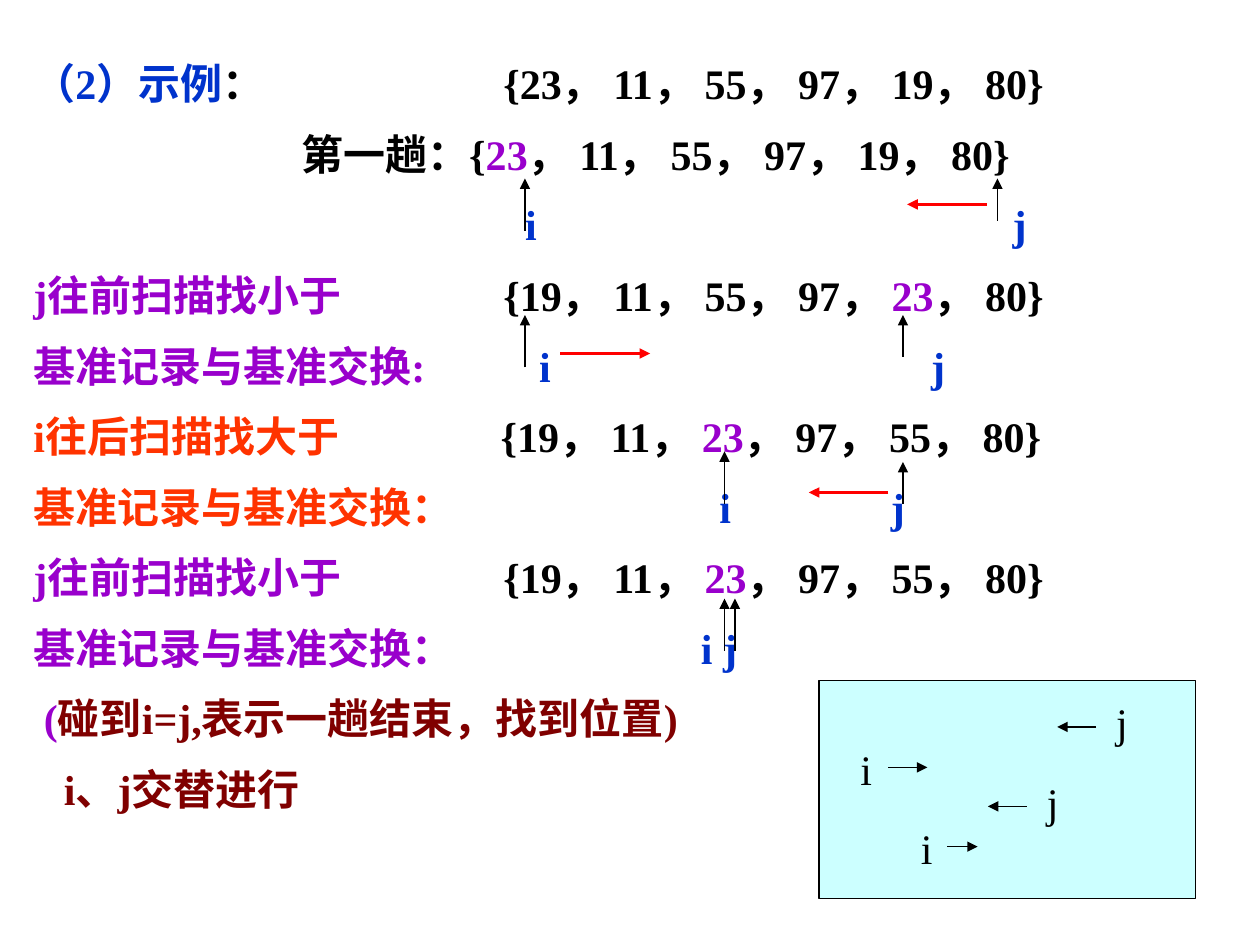
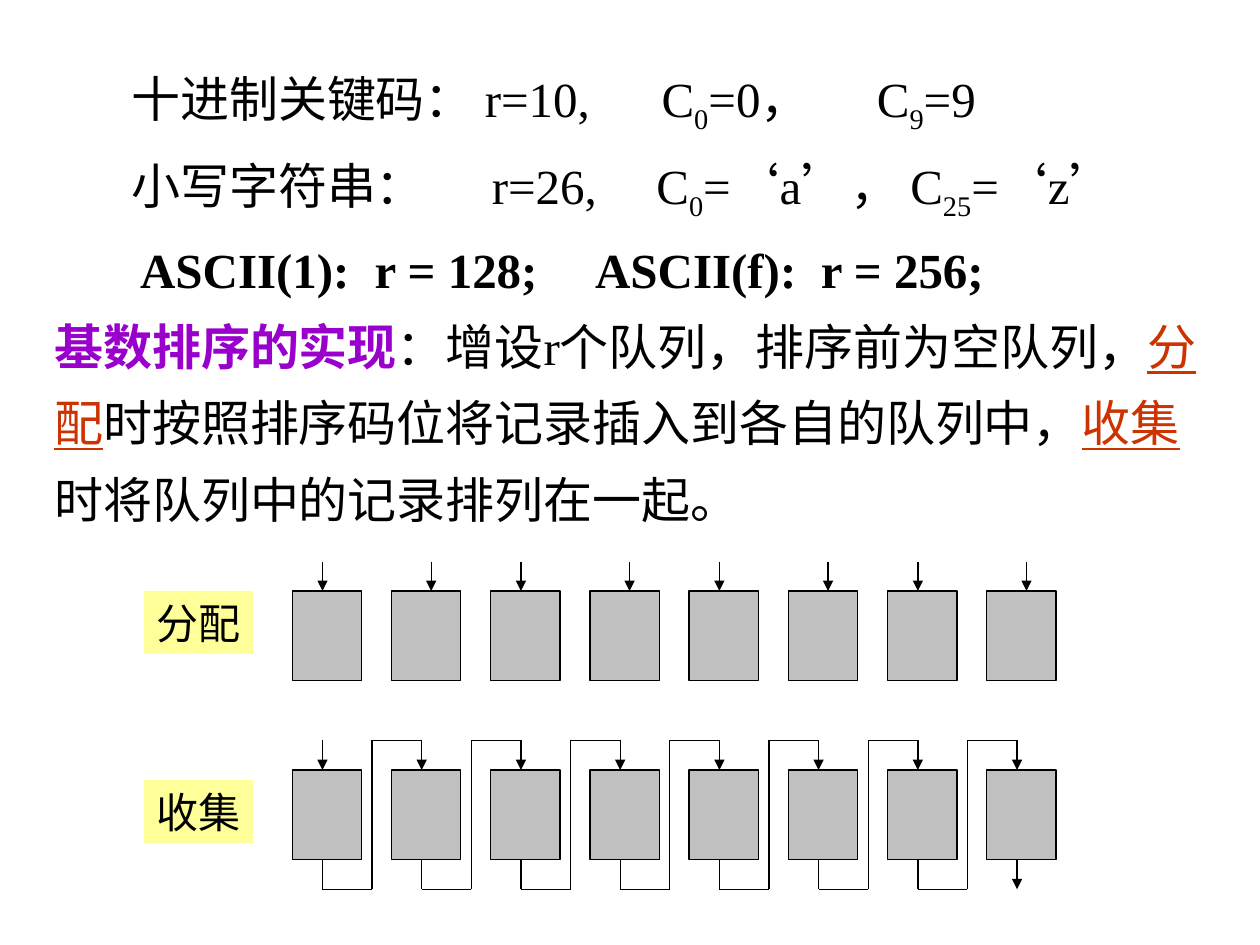
import pptx
import pptx.util
import pptx.dml.color
import pptx.enum.shapes
import pptx.enum.text
from itertools import pairwise
from lxml import etree
from pptx.oxml.ns import qn

Pt = pptx.util.Pt
FONT = "Times New Roman"
BLACK, BLUE, PURPLE = "000000", "0033CC", "9900CC"
ORANGE, MAROON, RED, RUST = "FF3300", "800000", "FF0000", "CC3300"
CYAN, GREY, YELLOW = "CCFFFF", "C0C0C0", "FFFF99"
PITCH = 56.7


def paint(target, code):
    """Set a font or line colour, or a solid fill, from a hex string."""
    if hasattr(target, "solid"):
        target.solid()
        target = target.fore_color
    else:
        target = target.color
    target.rgb = pptx.dml.color.RGBColor.from_string(code)


def style(run, size, code=BLACK, bold=False, under=False, sub=False):
    font = run.font
    font.name, font.size, font.bold = FONT, Pt(size), bold
    paint(font, code)
    if under:
        font.underline = True
    if sub:
        run._r.get_or_add_rPr().set("baseline", "-25000")


def set_tabs(para, stops):
    props = para._p.get_or_add_pPr()
    tabs = etree.SubElement(props, qn("a:tabLst"))
    for stop in stops:
        etree.SubElement(tabs, qn("a:tab"), pos=str(Pt(stop)), algn="l")


def add_body(shapes, area, size, spacing, rows, bold=False):
    """Add a text block; each row is (tab stops, list of (text, options))."""
    frame = shapes.add_textbox(*map(Pt, area)).text_frame
    frame.word_wrap = True
    for num, (stops, parts) in enumerate(rows):
        para = frame.add_paragraph() if num else frame.paragraphs[0]
        para.line_spacing = spacing
        set_tabs(para, stops)
        for text, options in parts:
            run = para.add_run()
            run.text = text
            style(run, size, **{"bold": bold, **options})


def add_label(shapes, text, left, top, width, fill=None):
    box = shapes.add_textbox(Pt(left), Pt(top), Pt(width), Pt(36))
    frame = box.text_frame
    frame.text = text
    frame.word_wrap = False
    frame.auto_size = pptx.enum.text.MSO_AUTO_SIZE.SHAPE_TO_FIT_TEXT
    style(frame.paragraphs[0].runs[0], 24)
    if fill:
        paint(box.fill, fill)


def add_box(shapes, left, top, width, height, fill):
    kind = pptx.enum.shapes.MSO_SHAPE.RECTANGLE
    box = shapes.add_shape(kind, Pt(left), Pt(top), Pt(width), Pt(height))
    box.shadow.inherit = False
    paint(box.fill, fill)
    paint(box.line, BLACK)
    box.line.width = Pt(0.75)


def add_line(shapes, start, end, code=BLACK, width=0.75, arrow=True):
    kind = pptx.enum.shapes.MSO_CONNECTOR.STRAIGHT
    line = shapes.add_connector(kind, *map(Pt, (*start, *end)))
    paint(line.line, code)
    line.line.width = Pt(width)
    if arrow:
        etree.SubElement(line.line._get_or_add_ln(), qn("a:tailEnd"), type="triangle")
    etree.SubElement(line._element.spPr, qn("a:effectLst"))


def ink(code):
    return {"code": code}


def add_scan(shapes):
    """Show how i and j take turns."""
    group = shapes.add_group_shape().shapes
    add_box(group, 468, 388.8, 215.3, 124.6, CYAN)
    turns = [
        ("j", 630.7, 394.6, 626.4, 604.1, 415.4),
        ("i", 484.6, 421.2, 507.6, 529.9, 438.5),
        ("j", 591.1, 439.9, 586.8, 564.5, 460.8),
        ("i", 519.1, 466.6, 541.4, 558.7, 483.8),
    ]
    for name, left, top, start, end, mid in turns:
        add_label(group, name, left, top, 20.9)
        add_line(group, (start, mid), (end, mid))


def build_quick(slide):
    shapes = slide.shapes
    black, blue, purple = ink(BLACK), ink(BLUE), ink(PURPLE)
    orange, maroon = ink(ORANGE), ink(MAROON)
    swap = "基准记录与基准交换"
    seek = ("j往前扫描找小于", purple)
    pivot = ("23", purple)
    head, tail = ("\t{19， 11， ", black), ("， 97， 55， 80}", black)
    rows = [
        ([268.5], [("（2）示例", blue),
                   ("：\t{23， 11， 55， 97， 19， 80}", black)]),
        ([153], [("\t第一趟：{", black), pivot,
                 ("， 11， 55， 97， 19， 80}", black)]),
        ([281, 559.5], [("\ti\tj", blue)]),
        ([268.5], [seek, ("\t{19， 11， 55， 97， ", black), pivot,
                   ("， 80}", black)]),
        ([289, 513], [(swap + ":", purple), ("\ti\tj", blue)]),
        ([267], [("i往后扫描找大于", orange), head, pivot, tail]),
        ([392, 490], [(swap + "：", orange), ("\ti\tj", blue)]),
        ([268.5], [seek, head, pivot, tail]),
        ([381.5], [(swap + "：", purple), ("\ti j", blue)]),
        ([6], [("\t(", purple),
               ("碰到i=j,表示一趟结束，找到位置)", maroon)]),
        ([17.5], [("\ti、j交替进行", maroon)]),
    ]
    add_body(shapes, (12, 18, 696, 500), 24, 1.4, rows, bold=True)
    marks = [(300, 132, 102), (570, 126, 102), (300, 210, 180), (516, 204, 180),
             (414, 288, 258), (516, 288, 264), (414, 372, 342), (420, 372, 342)]
    for left, low, high in marks:
        add_line(shapes, (left, low), (left, high))
    moves = [(564, 518.4, 116.8), (320.2, 371.5, 202), (507.6, 462.2, 281.4)]
    for start, end, top in moves:
        add_line(shapes, (start, top), (end, top), RED, 2)
    add_scan(shapes)


def add_row(shapes, top):
    for num in range(8):
        add_box(shapes, 167 + PITCH * num, top, 39.6, 51, GREY)


def add_chain(shapes):
    """Link the queues from the foot of each to the head of the next."""
    first, last = 184.3, 184.3 + 7 * PITCH
    top, bottom = 440, 491
    high, low = top - 17, bottom + 17.2
    add_line(shapes, (first, high), (first, top))
    for num in range(7):
        left = first + num * PITCH
        mid, right = left + PITCH / 2, left + PITCH
        path = [(left, bottom), (left, low), (mid, low),
                (mid, high), (right, high), (right, top)]
        for start, end in pairwise(path):
            add_line(shapes, start, end, arrow=end == path[-1])
    add_line(shapes, (last, bottom), (last, low))


def build_radix(slide):
    shapes = slide.shapes
    plain, sub, bold = {}, {"sub": True}, {"bold": True}
    link = {"code": RUST, "under": True}
    rows = [
        ([44, 347, 470], [("\t十进制关键码： r=10,\tC", plain), ("0", sub),
                          ("=0，\tC", plain), ("9", sub), ("=9", plain)]),
        ([44, 250, 344], [("\t小写字符串：\tr=26,\tC", plain), ("0", sub),
                          ("=‘a’， C", plain), ("25", sub), ("=‘z’", plain)]),
        ([49, 183, 309, 438],
         [("\tASCII(1):\tr = 128;\tASCII(f):\tr = 256;", bold)]),
        ([], [("基数排序的实现", {"code": PURPLE, "bold": True}),
              ("：增设r个队列，排序前为空队列，", plain), ("分配", link),
              ("时按照排序码位将记录插入到各自的队列中，", plain),
              ("收集", link), ("时将队列中的记录排列在一起。", plain)]),
    ]
    add_body(shapes, (24, 24, 678, 331), 28, 1.3, rows)
    add_row(shapes, 337.7)
    for num in range(8):
        left = 184.3 + PITCH * num + 5.4 * (num % 2)
        add_line(shapes, (left, 321), (left, 337.7))
    add_row(shapes, 440)
    add_chain(shapes)
    add_label(shapes, "分配", 82.2, 337.7, 62.4, YELLOW)
    add_label(shapes, "收集", 82.2, 445.7, 62.4, YELLOW)


def main():
    deck = pptx.Presentation()
    deck.slide_width, deck.slide_height = Pt(720), Pt(540)
    for build in (build_quick, build_radix):
        build(deck.slides.add_slide(deck.slide_layouts[6]))
    deck.save("out.pptx")


if __name__ == "__main__":
    main()
